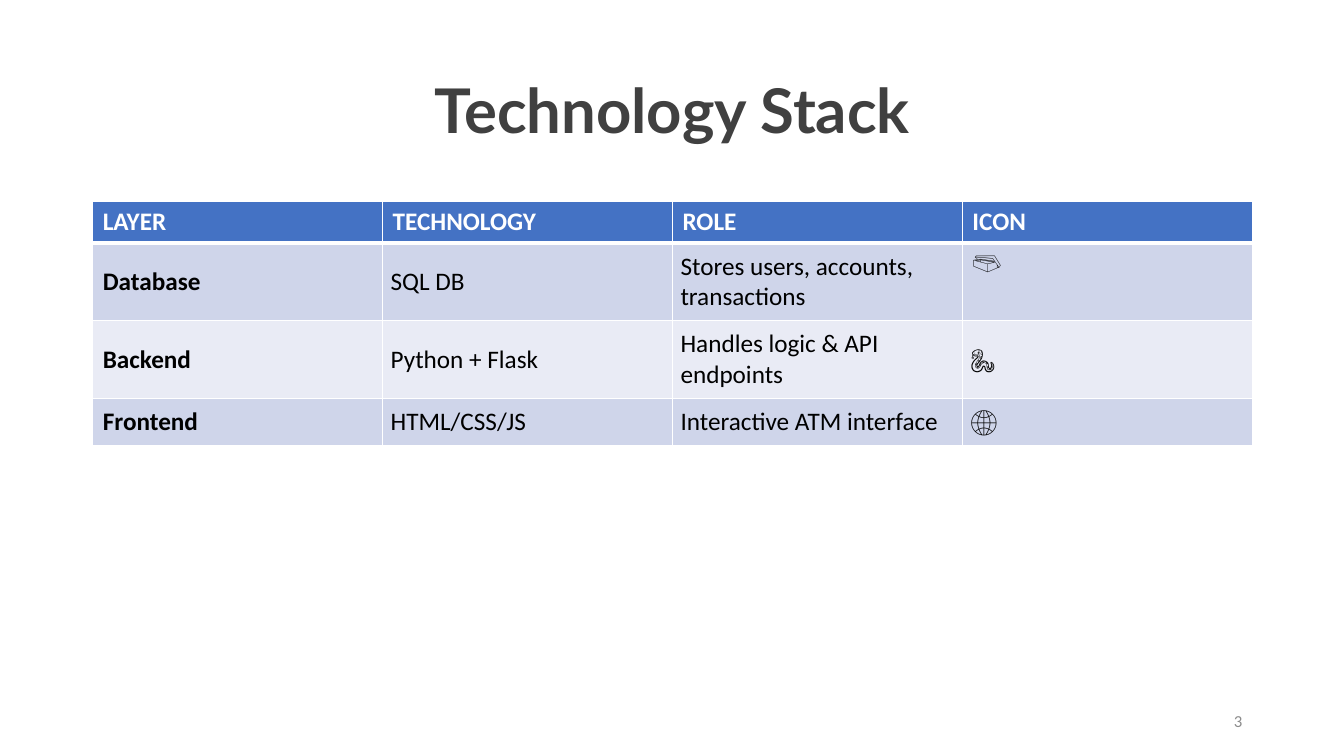
"""Builds the Technology Stack slide with its table of layers."""
from dataclasses import dataclass

from lxml.etree import SubElement
from pptx import Presentation
from pptx.dml.color import RGBColor as Rgb
from pptx.enum.text import MSO_ANCHOR as Anchor, PP_ALIGN as Align
from pptx.oxml.ns import qn
from pptx.util import Inches, Pt


@dataclass(frozen=True)
class Theme:
    heading_font: str = "Lato"
    body_font: str = "Calibri"
    title_size: int = 44
    cell_size: int = 18
    number_size: int = 12
    title: str = "404040"
    header: str = "4472C4"
    bands: tuple = ("CFD5EA", "E9EBF5")
    light: str = "FFFFFF"
    dark: str = "000000"
    number: str = "8C8C8C"


def style_text(frame, font_name, size, color, bold=False, align=Align.LEFT):
    for paragraph in frame.paragraphs:
        paragraph.alignment = align
        for run in paragraph.runs:
            run.font.name = font_name
            run.font.size = Pt(size)
            run.font.bold = bold
            run.font.color.rgb = Rgb.from_string(color)


def draw_borders(cell, widths, color):
    properties = cell._tc.get_or_add_tcPr()
    for side, width in zip("LRTB", widths):
        line = SubElement(properties, qn(f"a:ln{side}"), w=str(Pt(width)))
        SubElement(SubElement(line, qn("a:solidFill")), qn("a:srgbClr"), val=color)


theme = Theme()
rows = [
    ("LAYER", "TECHNOLOGY", "ROLE", "ICON"),
    ("Database", "SQL DB", "Stores users, accounts, transactions", "🗃️"),
    ("Backend", "Python + Flask", "Handles logic & API endpoints", "🐍"),
    ("Frontend", "HTML/CSS/JS", "Interactive ATM interface", "🌐"),
]
row_heights = [Inches(height) for height in (0.41, 0.77, 0.77, 0.47)]

deck = Presentation()
deck.slide_width, deck.slide_height = Inches(13.33), Inches(7.5)
slide = deck.slides.add_slide(deck.slide_layouts[5])
margin = Inches(0.92)
content_width = Inches(11.5)

title = slide.shapes.title
title.left, title.top = margin, Inches(0.4)
title.width, title.height = content_width, Inches(1.45)
title.text_frame.text = "Technology Stack"
title.text_frame.vertical_anchor = Anchor.MIDDLE
title.text_frame.paragraphs[0].line_spacing = 0.9
style_text(title.text_frame, theme.heading_font, theme.title_size, theme.title, True, Align.CENTER)

stack = slide.shapes.add_table(
    len(rows), len(rows[0]), margin, Inches(2), content_width, sum(row_heights)
).table
for r, (labels, height) in enumerate(zip(rows, row_heights)):
    stack.rows[r].height = height
    is_header = r == 0
    fill = theme.header if is_header else theme.bands[(r - 1) % 2]
    color = theme.light if is_header else theme.dark
    borders = (1, 1, 3 if r == 1 else 1, 3 if is_header else 1)
    for c, label in enumerate(labels):
        cell = stack.cell(r, c)
        draw_borders(cell, borders, theme.light)
        cell.fill.solid()
        cell.fill.fore_color.rgb = Rgb.from_string(fill)
        cell.text_frame.text = label
        style_text(cell.text_frame, theme.body_font, theme.cell_size, color, is_header or c == 0)
        if not is_header and (r, c) != (1, 3):
            cell.vertical_anchor = Anchor.MIDDLE
            cell.margin_left = Inches(0.1 if c == 0 else 0.08)
            cell.margin_right = cell.margin_top = cell.margin_bottom = Inches(0.08)

number_width = Inches(3)
page_number = slide.shapes.add_textbox(
    margin + content_width - number_width, Inches(6.95), number_width, Inches(0.4)
).text_frame
page_number.word_wrap = True
page_number.vertical_anchor = Anchor.MIDDLE
page_number.text = "3"
style_text(page_number, theme.body_font, theme.number_size, theme.number, align=Align.RIGHT)

deck.save("out.pptx")
